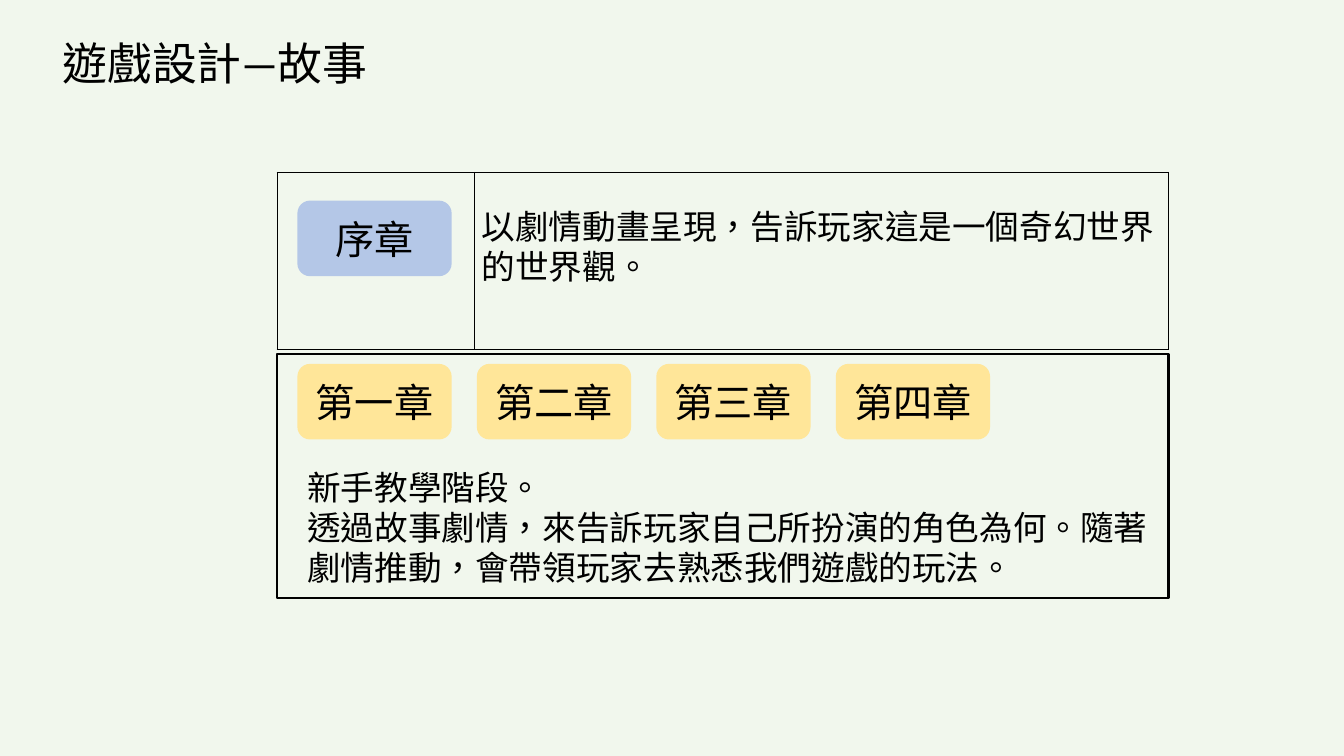
from dataclasses import dataclass

from lxml.etree import SubElement
from pptx import Presentation
from pptx.dml.color import RGBColor
from pptx.enum.shapes import MSO_SHAPE
from pptx.enum.text import MSO_ANCHOR, MSO_AUTO_SIZE, PP_ALIGN
from pptx.oxml.ns import qn
from pptx.util import Inches, Pt


@dataclass(frozen=True)
class Theme:
    background: str = "F1F7ED"
    ink: str = "000000"
    prologue: str = "B4C7E7"
    chapter: str = "FFE699"
    heading_font: str = "Lato"
    body_font: str = "Noto Sans CJK SC"
    east_asian_font: str = "Lato"
    language: str = "zh-TW"
    title_size: int = 32
    label_size: int = 28
    body_size: int = 24


class StorySlide:
    def __init__(self, deck, theme):
        self.theme = theme
        self.page = deck.slides.add_slide(deck.slide_layouts[5])
        fill = self.page.background.fill
        fill.solid()
        fill.fore_color.rgb = RGBColor.from_string(theme.background)

    def add_lines(self, frame, lines, size, font, align=PP_ALIGN.LEFT):
        for index, line in enumerate(lines):
            para = frame.add_paragraph() if index else frame.paragraphs[0]
            para.alignment = align
            span = para.add_run()
            span.text = line
            span.font.size = Pt(size)
            span.font.name = font
            span.font.color.rgb = RGBColor.from_string(self.theme.ink)
            properties = span._r.get_or_add_rPr()
            properties.set("lang", self.theme.language)
            latin = properties.find(qn("a:latin"))
            east_asian = properties.makeelement(qn("a:ea"), {"typeface": self.theme.east_asian_font})
            latin.addnext(east_asian)

    def title(self, text, left, top, width, height):
        box = self.page.shapes.title
        box.left, box.top = Inches(left), Inches(top)
        box.width, box.height = Inches(width), Inches(height)
        frame = box.text_frame
        frame.word_wrap = False
        frame.auto_size = MSO_AUTO_SIZE.SHAPE_TO_FIT_TEXT
        frame.vertical_anchor = MSO_ANCHOR.TOP
        self.add_lines(frame, [text], self.theme.title_size, self.theme.heading_font)

    def shape(self, kind, left, top, width, height):
        shape = self.page.shapes.add_shape(
            kind, Inches(left), Inches(top), Inches(width), Inches(height))
        shape.shadow.inherit = False
        return shape

    def panel(self, left, top, width, height):
        panel = self.shape(MSO_SHAPE.RECTANGLE, left, top, width, height)
        panel.fill.background()
        panel.line.color.rgb = RGBColor.from_string(self.theme.ink)
        panel.line.width = Pt(1.5)

    def label(self, text, color, left, top, width=1.53, height=0.75):
        label = self.shape(MSO_SHAPE.ROUNDED_RECTANGLE, left, top, width, height)
        label.fill.solid()
        label.fill.fore_color.rgb = RGBColor.from_string(color)
        label.line.fill.background()
        label.text_frame.vertical_anchor = MSO_ANCHOR.MIDDLE
        self.add_lines(label.text_frame, [text], self.theme.label_size,
                       self.theme.heading_font, PP_ALIGN.CENTER)

    def text(self, lines, left, top, width, height):
        box = self.page.shapes.add_textbox(
            Inches(left), Inches(top), Inches(width), Inches(height))
        frame = box.text_frame
        frame.word_wrap = True
        frame.auto_size = MSO_AUTO_SIZE.SHAPE_TO_FIT_TEXT
        self.add_lines(frame, lines, self.theme.body_size, self.theme.body_font)

    def table(self, left, top, column_widths, height):
        frame = self.page.shapes.add_table(
            1, len(column_widths), Inches(left), Inches(top),
            Inches(sum(column_widths)), Inches(height))
        table = frame.table
        table.first_row = table.horz_banding = False
        for column, width in zip(table.columns, column_widths):
            column.width = Inches(width)
        for cell in table.iter_cells():
            # Borders come before the fill in the cell properties
            properties = cell._tc.get_or_add_tcPr()
            for side in ("a:lnL", "a:lnR", "a:lnT", "a:lnB"):
                line = SubElement(properties, qn(side), w=str(Pt(1)))
                solid = SubElement(line, qn("a:solidFill"))
                SubElement(solid, qn("a:srgbClr"), val=self.theme.ink)
            cell.fill.background()


def main():
    deck = Presentation()
    deck.slide_width, deck.slide_height = Inches(13.33), Inches(7.5)
    theme = Theme()
    slide = StorySlide(deck, theme)
    slide.title("遊戲設計—故事", 0.52, 0.3, 3.32, 0.64)

    # Frames
    frame_left, label_left = 2.75, 2.95
    slide.panel(frame_left, 3.51, 8.84, 2.42)
    slide.table(frame_left, 1.71, [1.96, 6.88], 1.76)

    # Prologue
    slide.label("序章", theme.prologue, label_left, 1.99)
    slide.text(["以劇情動畫呈現，告訴玩家這是一個奇幻世界的世界觀。"], 4.68, 1.99, 7, 0.91)

    # Chapters
    label_pitch = 1.78
    for index, chapter in enumerate(["第一章", "第二章", "第三章", "第四章"]):
        slide.label(chapter, theme.chapter, label_left + index * label_pitch, 3.61)
    slide.text(["新手教學階段。",
                "透過故事劇情，來告訴玩家自己所扮演的角色為何。隨著劇情推動，會帶領玩家去熟悉我們遊戲的玩法。"],
               label_left, 4.58, 8.63, 1.31)

    deck.save("out.pptx")


if __name__ == "__main__":
    main()
